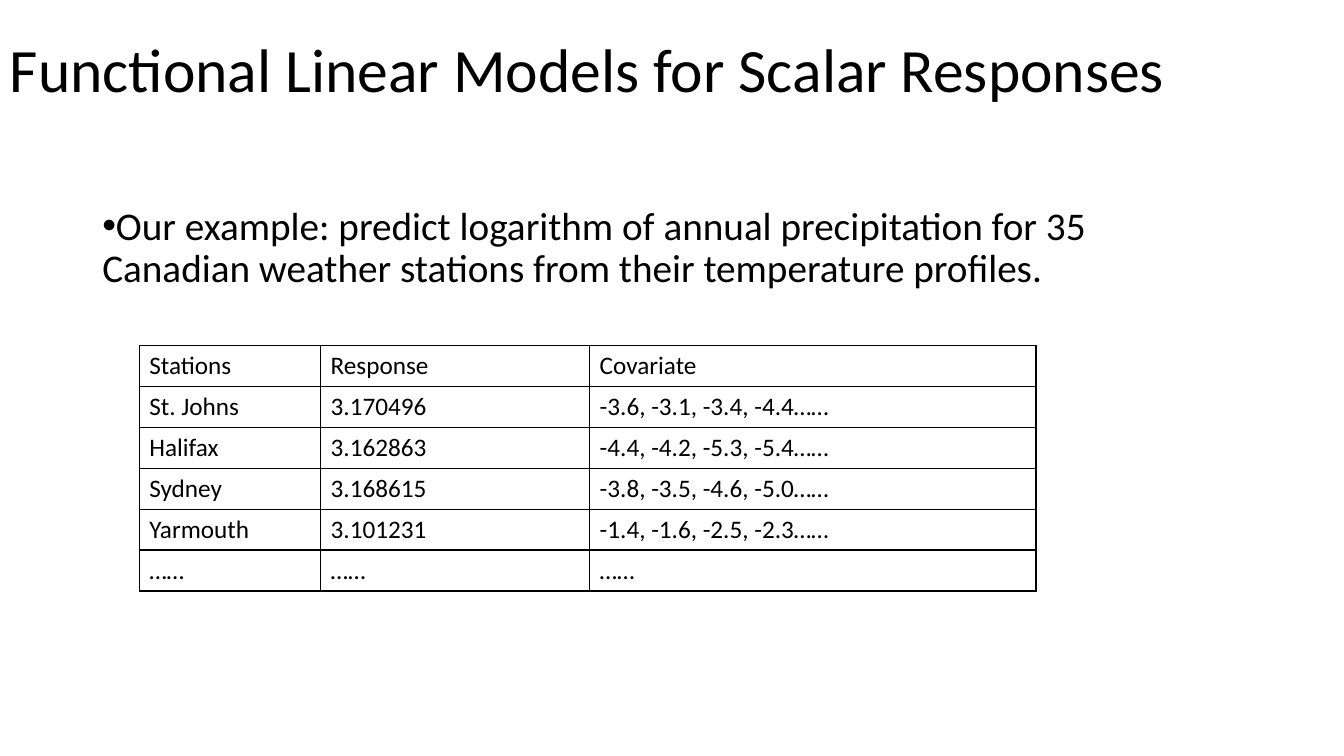
from lxml.etree import SubElement
from pptx import Presentation
from pptx.dml.color import RGBColor
from pptx.enum.text import MSO_ANCHOR
from pptx.oxml.ns import qn
from pptx.util import Cm, Pt

BLACK = RGBColor(0x00, 0x00, 0x00)
FONT = "Calibri"
COLUMN_WIDTHS = [Cm(4.57), Cm(6.78), Cm(11.25)]
ROW_HEIGHT = Cm(1.03)
STATIONS = [
    ("Stations", "Response", "Covariate"),
    ("St. Johns", "3.170496", "-3.6, -3.1, -3.4, -4.4……"),
    ("Halifax", "3.162863", "-4.4, -4.2, -5.3, -5.4……"),
    ("Sydney", "3.168615", "-3.8, -3.5, -4.6, -5.0……"),
    ("Yarmouth", "3.101231", "-1.4, -1.6, -2.5, -2.3……"),
    ("……", "……", "……"),
]


def style_font(paragraph, size):
    paragraph.font.name = FONT
    paragraph.font.size = Pt(size)
    paragraph.font.color.rgb = BLACK


def add_text(slide, left, top, width, height, text, size):
    frame = slide.shapes.add_textbox(left, top, width, height).text_frame
    frame.word_wrap = True
    paragraph = frame.paragraphs[0]
    paragraph.text = text
    paragraph.line_spacing = 0.9
    style_font(paragraph, size)
    return frame


def add_bullet(paragraph):
    properties = paragraph._p.get_or_add_pPr()
    properties.set("marL", "0")
    properties.set("indent", "0")
    bullet_font = SubElement(properties, qn("a:buFont"))
    bullet_font.set("typeface", "Arial")
    bullet = SubElement(properties, qn("a:buChar"))
    bullet.set("char", "•")
    # The default run properties must come after the bullet
    properties.append(properties.find(qn("a:defRPr")))


def add_borders(cell):
    properties = cell._tc.get_or_add_tcPr()
    for position, side in enumerate(("a:lnL", "a:lnR", "a:lnT", "a:lnB")):
        line = SubElement(properties, qn(side))
        line.set("w", str(Pt(1)))
        fill = SubElement(line, qn("a:solidFill"))
        SubElement(fill, qn("a:srgbClr")).set("val", str(BLACK))
        # Borders come before the cell fill
        properties.insert(position, line)


def add_station_table(slide, left, top):
    table = slide.shapes.add_table(
        len(STATIONS), len(COLUMN_WIDTHS), left, top,
        sum(COLUMN_WIDTHS), ROW_HEIGHT * len(STATIONS)).table
    table.first_row = False
    table.horz_banding = False
    for column, width in zip(table.columns, COLUMN_WIDTHS):
        column.width = width
    for row, values in zip(table.rows, STATIONS):
        row.height = ROW_HEIGHT
        for cell, value in zip(row.cells, values):
            cell.text = value
            style_font(cell.text_frame.paragraphs[0], 18)
            cell.fill.background()
            add_borders(cell)


def main():
    presentation = Presentation()
    presentation.slide_width = Cm(33.87)
    presentation.slide_height = Cm(19.05)
    slide = presentation.slides.add_slide(presentation.slide_layouts[6])

    # Title
    title = add_text(slide, Cm(0), Cm(0), Cm(31.55), Cm(3.68),
                     "Functional Linear Models for Scalar Responses", 44)
    title.vertical_anchor = MSO_ANCHOR.MIDDLE

    # Example description
    example = add_text(
        slide, Cm(2.33), Cm(5.08), Cm(29.21), Cm(12.09),
        "Our example: predict logarithm of annual precipitation for 35 "
        "Canadian weather stations from their temperature profiles.", 28)
    example.margin_right = Cm(0.5)
    add_bullet(example.paragraphs[0])

    # Weather stations
    add_station_table(slide, Cm(3.51), Cm(8.71))

    presentation.save("out.pptx")


if __name__ == "__main__":
    main()
